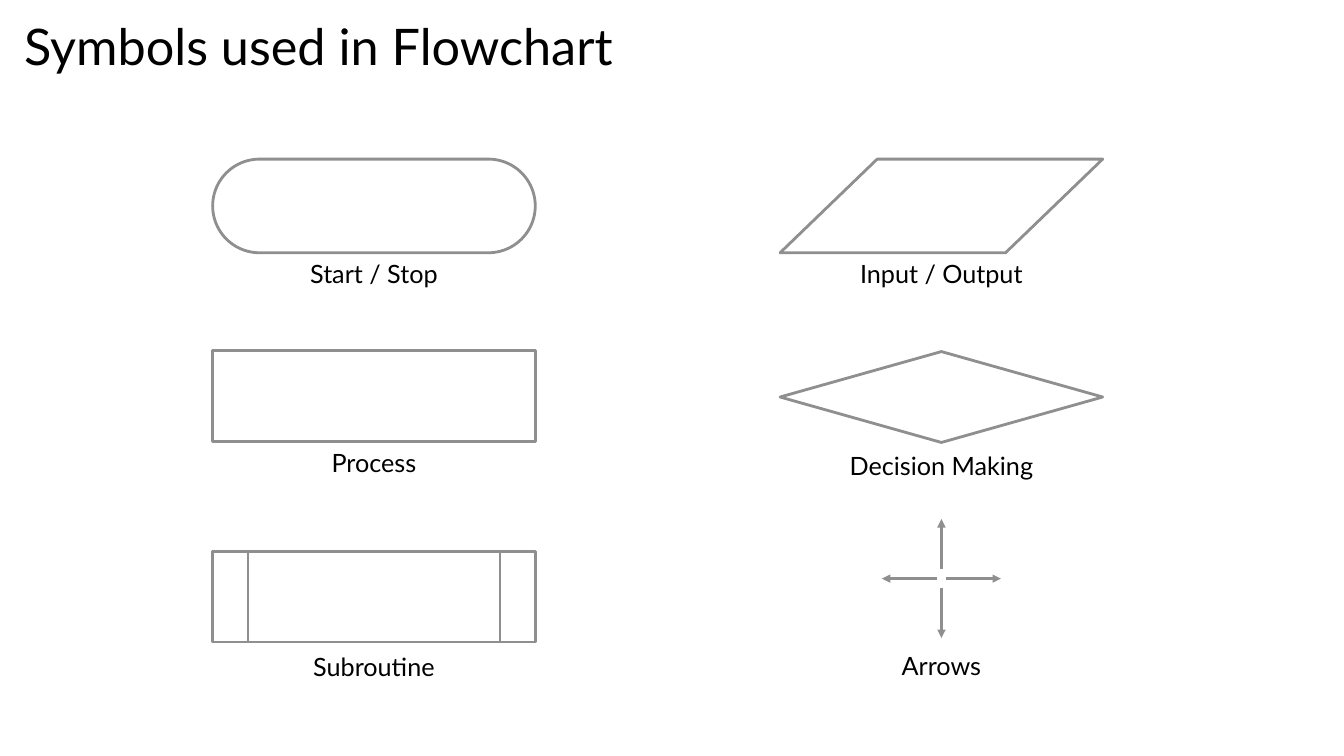
from dataclasses import dataclass

from lxml.etree import SubElement
from pptx import Presentation
from pptx.dml.color import RGBColor
from pptx.enum.shapes import MSO_CONNECTOR, MSO_SHAPE
from pptx.enum.text import MSO_ANCHOR, MSO_AUTO_SIZE, PP_ALIGN
from pptx.oxml.ns import qn
from pptx.shapes.shapetree import GroupShapes, SlideShapes
from pptx.slide import Slide
from pptx.text.text import TextFrame
from pptx.util import Cm, Pt


@dataclass(frozen=True)
class Theme:
    font: str = "Lato"
    ink: RGBColor = RGBColor(0, 0, 0)
    line: RGBColor = RGBColor(0x8F, 0x8F, 0x8F)
    head: Pt = Pt(36)
    label: Pt = Pt(18)
    stroke: Pt = Pt(2)


@dataclass(frozen=True)
class Symbol:
    kind: MSO_SHAPE
    left: float
    top: float
    width: float = 8.13
    height: float = 2.29
    adjust: float | None = None


@dataclass(frozen=True)
class Label:
    text: str
    left: float
    top: float


THEME = Theme()
WIDE = 8.13
LEFT, RIGHT = 5.36, 19.66
BAR = 0.89  # inset of the side bars in the subroutine symbol

SYMBOLS = [
    Symbol(MSO_SHAPE.ROUNDED_RECTANGLE, LEFT, 4.01, height=2.36, adjust=0.5),
    Symbol(MSO_SHAPE.PARALLELOGRAM, RIGHT, 4.01, height=2.36, adjust=1.037),
    Symbol(MSO_SHAPE.RECTANGLE, LEFT, 8.84),
    Symbol(MSO_SHAPE.FLOWCHART_DECISION, RIGHT, 8.86),
]
ROUTINE = [
    Symbol(MSO_SHAPE.FLOWCHART_PROCESS, LEFT + gap, 13.89, WIDE - 2 * gap)
    for gap in (0, BAR)
]
LABELS = [
    Label("Start / Stop", LEFT, 6.38),
    Label("Input / Output", RIGHT, 6.38),
    Label("Process", LEFT, 11.15),
    Label("Decision Making", RIGHT, 11.23),
    Label("Subroutine", LEFT, 16.28),
    Label("Arrows", RIGHT, 16.26),
]


def write(frame: TextFrame, text: str, size: Pt, align: PP_ALIGN) -> None:
    para = frame.paragraphs[0]
    para.alignment = align
    run = para.add_run()
    run.text = text
    run.font.name = THEME.font
    run.font.size = size
    run.font.color.rgb = THEME.ink


def add_title(slide: Slide, text: str) -> None:
    title = slide.shapes.title
    title.left, title.top = Cm(0), Cm(0)
    title.width, title.height = Cm(33.87), Cm(2.49)
    frame = title.text_frame
    frame.auto_size = MSO_AUTO_SIZE.NONE
    frame.vertical_anchor = MSO_ANCHOR.MIDDLE
    frame.margin_left = frame.margin_right = Cm(0.61)
    frame.margin_top = frame.margin_bottom = Cm(0.3)
    write(frame, text, THEME.head, PP_ALIGN.LEFT)
    frame.paragraphs[0].line_spacing = 0.9


def add_symbol(shapes: SlideShapes | GroupShapes, item: Symbol) -> None:
    shape = shapes.add_shape(
        item.kind, Cm(item.left), Cm(item.top), Cm(item.width), Cm(item.height)
    )
    shape.shadow.inherit = False
    shape.fill.background()
    shape.line.color.rgb = THEME.line
    shape.line.width = THEME.stroke
    if item.adjust is not None:
        shape.adjustments[0] = item.adjust


def add_label(shapes: SlideShapes, item: Label) -> None:
    box = shapes.add_textbox(Cm(item.left), Cm(item.top), Cm(WIDE), Cm(1.03))
    frame = box.text_frame
    frame.word_wrap = True
    frame.auto_size = MSO_AUTO_SIZE.SHAPE_TO_FIT_TEXT
    write(frame, item.text, THEME.label, PP_ALIGN.CENTER)


def add_arrow(shapes: GroupShapes, dx: int, dy: int) -> None:
    x, y = RIGHT + WIDE / 2, 14.58
    near, far = (0.12 if dx else 0.23), 1.5
    arrow = shapes.add_connector(
        MSO_CONNECTOR.STRAIGHT,
        Cm(x + dx * near), Cm(y + dy * near),
        Cm(x + dx * far), Cm(y + dy * far),
    )
    arrow.line.color.rgb = THEME.line
    arrow.line.width = THEME.stroke
    SubElement(arrow.line._get_or_add_ln(), qn("a:tailEnd"), type="triangle")
    SubElement(arrow._element.spPr, qn("a:effectLst"))


def main() -> None:
    deck = Presentation()
    deck.slide_width, deck.slide_height = Cm(33.87), Cm(19.05)
    slide = deck.slides.add_slide(deck.slide_layouts[5])
    shapes = slide.shapes
    add_title(slide, "Symbols used in Flowchart")

    # Single symbols
    for item in SYMBOLS:
        add_symbol(shapes, item)

    # Subroutine: one box inside another
    group = shapes.add_group_shape()
    for item in ROUTINE:
        add_symbol(group.shapes, item)

    # Arrows in four directions
    cross = shapes.add_group_shape()
    for dx, dy in ((0, 1), (1, 0), (-1, 0), (0, -1)):
        add_arrow(cross.shapes, dx, dy)

    # Captions
    for label in LABELS:
        add_label(shapes, label)

    deck.save("out.pptx")


if __name__ == "__main__":
    main()
